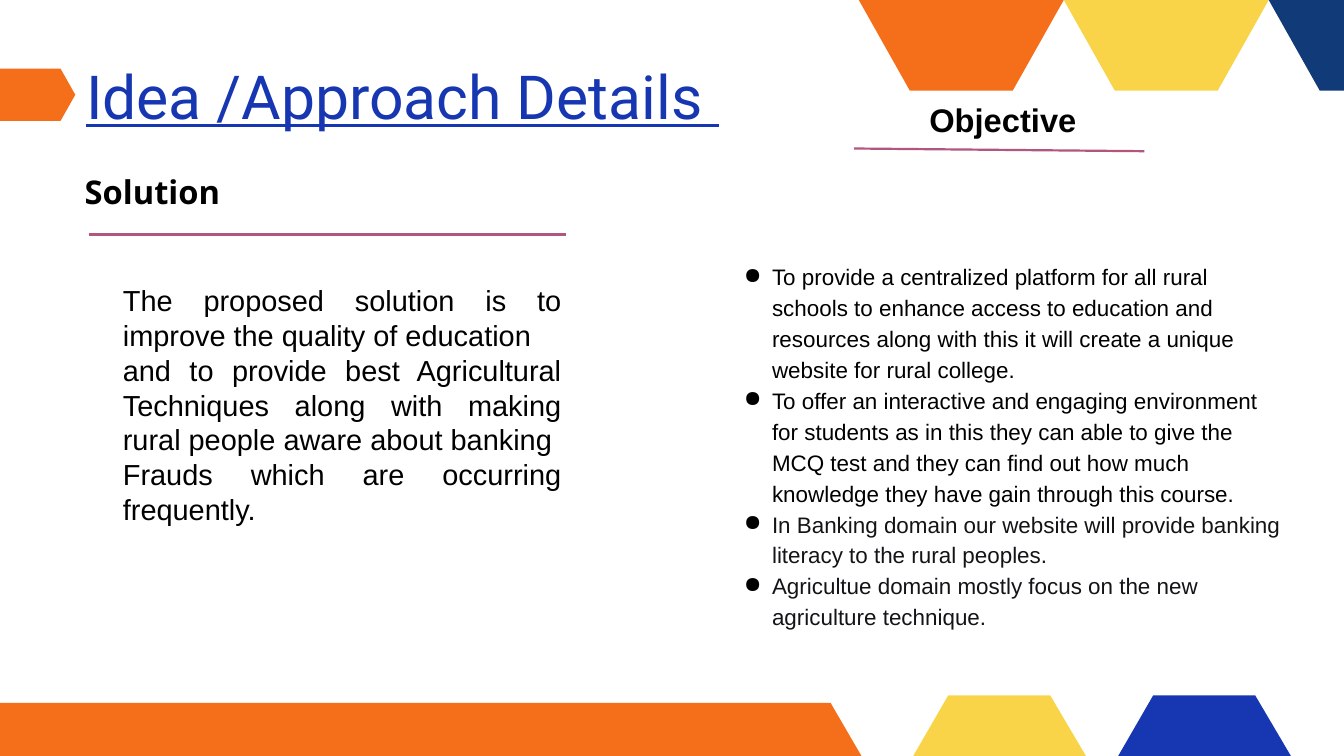
from dataclasses import dataclass

from lxml import etree
from pptx import Presentation
from pptx import util as u
from pptx.dml.color import RGBColor
from pptx.enum import shapes, text
from pptx.oxml.ns import qn

COLUMNS, ROWS = 20, 11.25  # one grid unit is one inch


@dataclass(frozen=True)
class Theme:
    orange: str = "F56E1A"
    yellow: str = "F9D448"
    blue: str = "1736B1"
    navy: str = "113A78"
    rose: str = "B1567E"
    black: str = "000000"
    ink: str = "121416"
    title_size: float = 65
    heading_size: float = 35
    body_size: float = 31
    list_size: float = 24
    rule_width: float = 2.34
    body_font: str = "Arial"


THEME = Theme()


class SlideBuilder:
    def __init__(self, deck, theme):
        self.theme = theme
        self.slide = deck.slides.add_slide(deck.slide_layouts[6])
        self.unit = deck.slide_width / COLUMNS

    def grid(self, *lengths):
        return [u.Emu(round(length * self.unit)) for length in lengths]

    def polygon(self, points, color):
        """Filled outline, cut off at the right and bottom slide edges."""
        start, *rest = [self.grid(min(x, COLUMNS), min(y, ROWS)) for x, y in points]
        builder = self.slide.shapes.build_freeform(*start)
        builder.add_line_segments(rest, close=True)
        outline = builder.convert_to_shape()
        outline.shadow.inherit = False
        outline.fill.solid()
        outline.fill.fore_color.rgb = RGBColor.from_string(color)
        outline.line.fill.background()

    def rule(self, x1, y1, x2, y2):
        rule = self.slide.shapes.add_connector(
            shapes.MSO_CONNECTOR.STRAIGHT, *self.grid(x1, y1, x2, y2))
        rule.line.color.rgb = RGBColor.from_string(self.theme.rose)
        rule.line.width = u.Pt(self.theme.rule_width)
        etree.SubElement(rule._element.spPr, qn("a:effectLst"))

    def textbox(self, box, paragraphs, font, inset=0.1, bullet=None, **layout):
        """Paragraphs are (wording, color) pairs; layout holds paragraph formats."""
        frame = self.slide.shapes.add_textbox(*self.grid(*box)).text_frame
        frame.word_wrap = True
        frame.auto_size = text.MSO_AUTO_SIZE.NONE
        for side in ("left", "top", "right", "bottom"):
            setattr(frame, f"margin_{side}", self.grid(inset)[0])
        for index, (wording, color) in enumerate(paragraphs):
            paragraph = frame.add_paragraph() if index else frame.paragraphs[0]
            if bullet:
                self.add_bullet(paragraph, bullet)
            for name, value in layout.items():
                setattr(paragraph, name, value)
            run = paragraph.add_run()
            run.text = wording
            for name, value in font.items():
                setattr(run.font, name, value)
            run.font.color.rgb = RGBColor.from_string(color)

    def add_bullet(self, paragraph, symbol):
        properties = paragraph._p.get_or_add_pPr()
        indent, hanging = self.grid(0.5, -0.42)
        properties.set("marL", str(indent))
        properties.set("indent", str(hanging))
        color = etree.SubElement(properties, qn("a:buClr"))
        etree.SubElement(color, qn("a:srgbClr"), val=self.theme.black)
        etree.SubElement(properties, qn("a:buChar"), char=symbol)

    def heading(self, box, wording, font_name):
        font = dict(name=font_name, size=u.Pt(self.theme.heading_size), bold=True)
        self.textbox(box, [(wording, self.theme.black)], font, inset=0)


def main():
    deck = Presentation()
    deck.slide_width, deck.slide_height = u.Inches(COLUMNS), u.Inches(ROWS)
    page = SlideBuilder(deck, THEME)

    # Title marker and bottom bar
    page.polygon([(0, 1.02), (0.9, 1.02), (1.12, 1.41), (0.9, 1.8), (0, 1.8)],
                 THEME.orange)
    page.polygon([(0, 10.46), (12.36, 10.46), (12.82, ROWS), (0, ROWS)],
                 THEME.orange)

    # Half hexagons along the top and bottom edges, on one pitch
    pitch = 3.05
    for index, color in enumerate((THEME.orange, THEME.yellow, THEME.navy)):
        left = 12.78 + index * pitch
        page.polygon([(left, 0), (left + pitch, 0),
                      (left + 2.29, 1.35), (left + 0.76, 1.35)], color)
    for index, color in enumerate((THEME.yellow, THEME.blue)):
        left = 13.59 + index * pitch
        page.polygon([(left, ROWS), (left + 0.52, 10.35),
                      (left + 2.04, 10.35), (left + 2.57, ROWS)], color)

    # Title and headings with their rules
    page.textbox((1.28, 0.87, 9.89, 1.1), [("Idea /Approach Details ", THEME.blue)],
                 dict(name="Roboto", size=u.Pt(THEME.title_size), underline=True),
                 inset=0)
    page.heading((1.26, 2.55, 7.21, 0.6), "Solution", "Open Sans")
    page.rule(1.32, 3.49, 8.42, 3.49)
    page.heading((13.83, 1.48, 2.33, 0.6), "Objective", THEME.body_font)
    page.rule(12.71, 2.21, 17.03, 2.25)

    # Solution
    solution = (
        "The proposed solution is to improve the quality of education",
        "and to provide best Agricultural Techniques along with making rural "
        "people aware about banking",
        "Frauds which are occurring frequently.",
    )
    page.textbox((1.73, 4.11, 6.72, 3.85),
                 [(wording, THEME.black) for wording in solution],
                 dict(name=THEME.body_font, size=u.Pt(THEME.body_size)),
                 alignment=text.PP_ALIGN.JUSTIFY)

    # Objectives
    objectives = [
        ("To provide a centralized platform for all rural schools to enhance access "
         "to education and resources along with this it will create a unique "
         "website for rural college.", THEME.black),
        ("To offer an interactive and engaging environment for students as in this "
         "they can able to give the MCQ test and they can find out how much "
         "knowledge they have gain through this course.", THEME.black),
        ("In Banking domain our website will provide banking literacy to the rural "
         "peoples.", THEME.ink),
        ("Agricultue domain mostly focus on the new agriculture technique.",
         THEME.ink),
    ]
    page.textbox((10.89, 3.76, 8.32, 5.78), objectives,
                 dict(name=THEME.body_font, size=u.Pt(THEME.list_size)),
                 bullet="●", line_spacing=1.15)

    deck.save("out.pptx")


if __name__ == "__main__":
    main()
